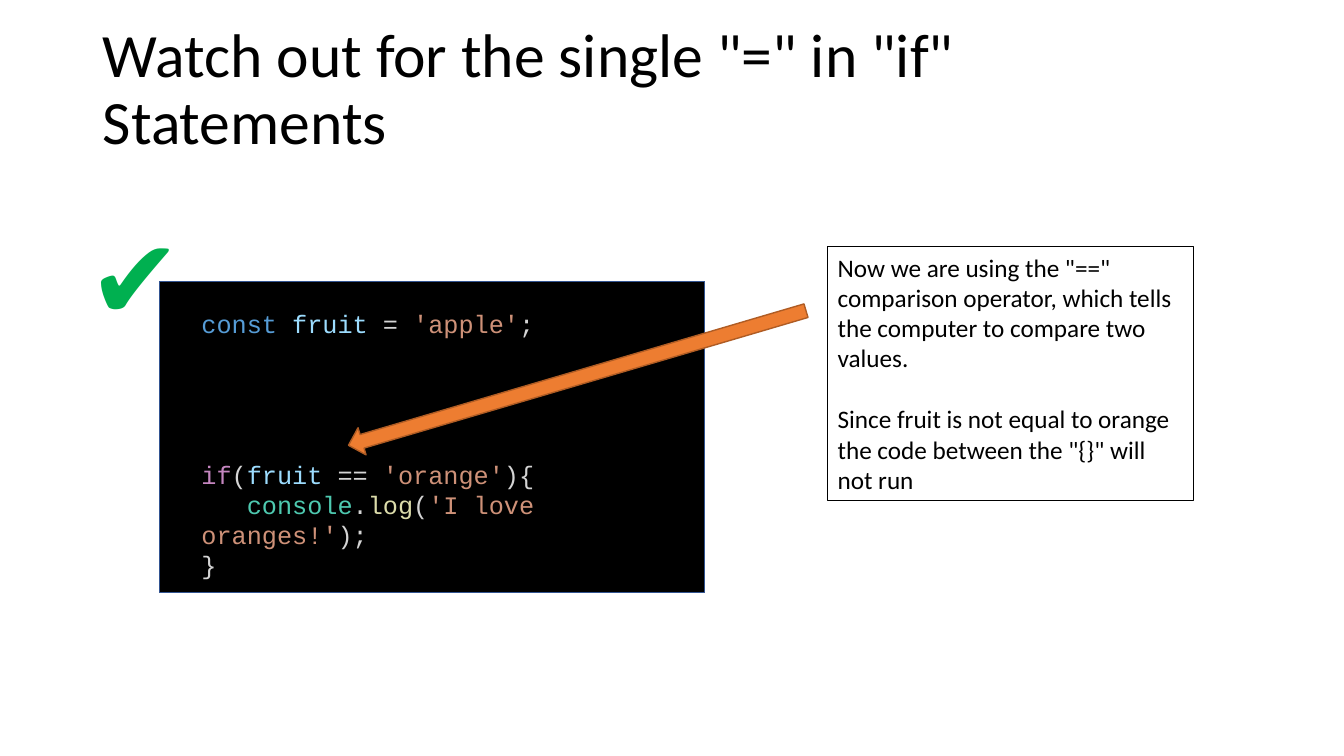
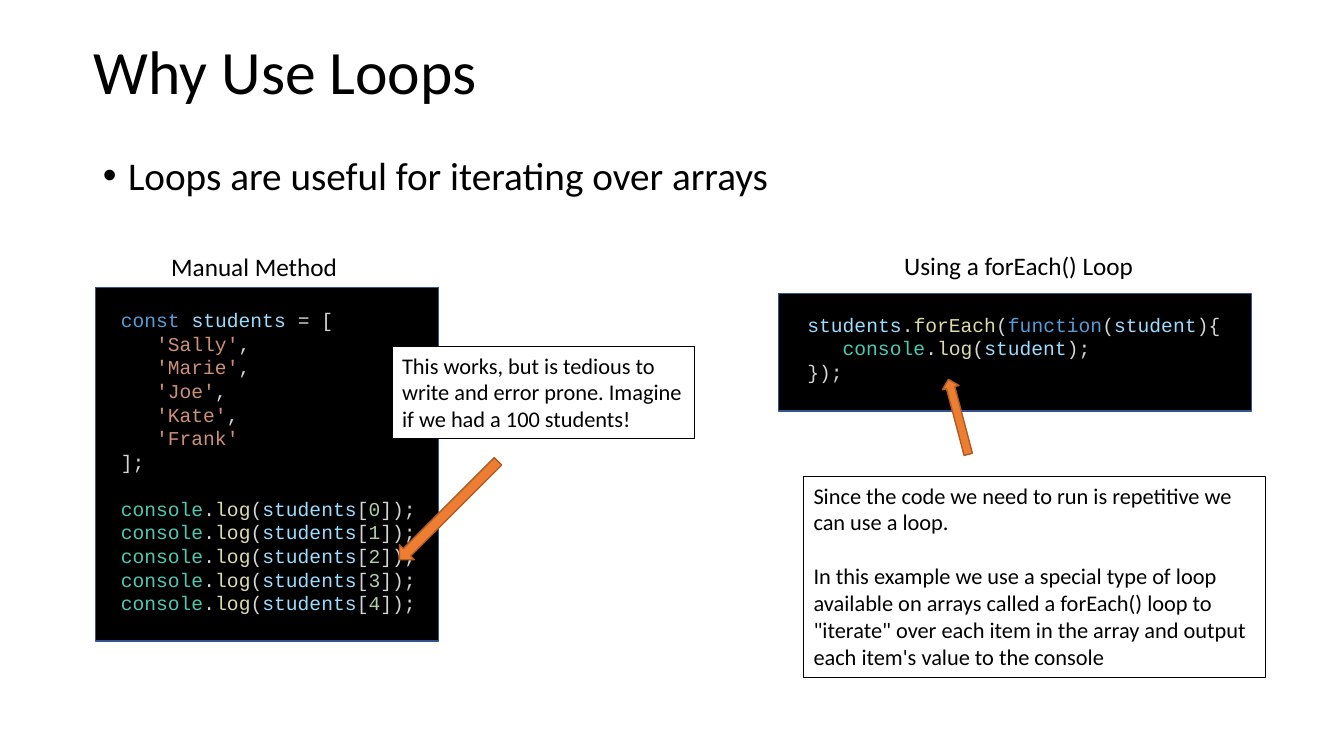
from pptx import Presentation
from pptx.dml.color import RGBColor
from pptx.enum import shapes, text
from pptx.util import Inches, Pt

BLACK = RGBColor(0x00, 0x00, 0x00)
WHITE = RGBColor(0xFF, 0xFF, 0xFF)
GREEN = RGBColor(0x00, 0xB0, 0x50)
NAVY = RGBColor(0x32, 0x54, 0x91)
ORANGE = RGBColor(0xED, 0x7D, 0x31)
RUST = RGBColor(0xAF, 0x5C, 0x24)

# Syntax colours
PLAIN = RGBColor(0xD4, 0xD4, 0xD4)
STRING = RGBColor(0xCE, 0x91, 0x78)
NUMBER = RGBColor(0xB5, 0xCE, 0xA8)
KEYWORD = RGBColor(0x56, 0x9C, 0xD6)
BRANCH = RGBColor(0xC5, 0x86, 0xC0)
NAME = RGBColor(0x9C, 0xDC, 0xFE)
CLASS = RGBColor(0x4E, 0xC9, 0xB0)
CALL = RGBColor(0xDC, 0xDC, 0xAA)
WORDS = {"const": KEYWORD, "function": KEYWORD, "if": BRANCH,
         "fruit": NAME, "students": NAME, "student": NAME,
         "console": CLASS, "log": CALL, "forEach": CALL}

BODY, MONO, SYMBOL = "Calibri", "Courier New", "DejaVu Sans"
LEAD = 1.2   # line height as a share of the text size
CHAR = 0.6   # width of a mono character as a share of the text size


def shade(token):
    """Pick the syntax colour of a code token."""
    word = token.strip()
    if word.startswith("'"):
        return STRING
    return NUMBER if word.isdigit() else WORDS.get(word, PLAIN)


def write(frame, content, size=18, font=BODY, color=BLACK, code=False,
          skip=1, lead=None, before=0):
    """Fill a frame: one paragraph a line, a gap of skip lines between blocks.

    Code tokens are parted by "|"; leading blanks become an indent.
    """
    first = True
    for block in content.split("\n\n"):
        for row, line in enumerate(block.split("\n")):
            para = frame.paragraphs[0] if first else frame.add_paragraph()
            para.alignment = text.PP_ALIGN.LEFT
            para.line_spacing = lead
            gap = row == 0 and not first
            para.space_before = Pt(round(skip * LEAD * size) if gap else before)
            first = False
            bare = line.lstrip()
            depth = len(line) - len(bare)
            if depth:
                props = para._p.get_or_add_pPr()
                props.set("marL", "0")
                props.set("indent", str(Pt(depth * CHAR * size)))
            for token in bare.split("|") if code else [bare]:
                run = para.add_run()
                run.text = token
                run.font.size = Pt(size)
                run.font.name = font
                run.font.color.rgb = shade(token) if code else color


class Deck:
    """Holds the shared style and the current slide."""

    def __init__(self):
        self.prs = Presentation()
        self.prs.slide_width = Inches(13.33)
        self.prs.slide_height = Inches(7.5)
        self.slide = None

    def place(self, shape, box):
        shape.left, shape.top, shape.width, shape.height = map(Inches, box)

    def start(self, title, left, top, bullet=None):
        """Add a slide with its title and, if given, one bullet."""
        layout = self.prs.slide_layouts[1 if bullet else 5]
        self.slide = self.prs.slides.add_slide(layout)
        head = self.slide.shapes.title
        self.place(head, (left, top, 11.5, 1.45))
        head.text_frame.auto_size = text.MSO_AUTO_SIZE.NONE
        head.text_frame.vertical_anchor = text.MSO_ANCHOR.MIDDLE
        write(head.text_frame, title, size=44, lead=0.9)
        if bullet:
            body = self.slide.placeholders[1]
            self.place(body, (0.92, 1.5, 7.31, 0.6))
            body.text_frame.auto_size = text.MSO_AUTO_SIZE.NONE
            write(body.text_frame, bullet, size=28, lead=0.9, before=10)
            props = body.text_frame.paragraphs[0]._p.get_or_add_pPr()
            props.set("marL", str(Inches(0.25)))
            props.set("indent", str(Inches(-0.25)))

    def label(self, content, box, wrap=True, **style):
        """Add a plain text box."""
        shape = self.slide.shapes.add_textbox(*map(Inches, box))
        shape.text_frame.word_wrap = wrap
        shape.text_frame.auto_size = text.MSO_AUTO_SIZE.SHAPE_TO_FIT_TEXT
        write(shape.text_frame, content, **style)
        return shape

    def note(self, content, box, size):
        """Add a white text box with a thin black frame."""
        shape = self.label(content, box, size=size)
        self.paint(shape, WHITE, BLACK, 0.75)

    def paint(self, shape, fill, edge, width=1):
        shape.fill.solid()
        shape.fill.fore_color.rgb = fill
        shape.line.color.rgb = edge
        shape.line.width = Pt(width)

    def form(self, kind, box, fill, edge):
        """Add a preset shape without shadow."""
        shape = self.slide.shapes.add_shape(kind, *map(Inches, box))
        shape.shadow.inherit = False
        self.paint(shape, fill, edge)
        return shape

    def code(self, content, panel, box, size, skip=1):
        """Add a black panel with coloured code on it."""
        self.form(shapes.MSO_SHAPE.RECTANGLE, panel, BLACK, NAVY)
        self.label(content, box, size=size, font=MONO, code=True, skip=skip)

    def arrow(self, box, turn):
        kind = shapes.MSO_SHAPE.RIGHT_ARROW
        self.form(kind, box, ORANGE, RUST).rotation = turn


def compare(deck):
    deck.start('Watch out for the single "=" in "if" Statements', 0.92, 0.18)
    deck.code("const |fruit| = |'apple'|;\n\n"
              "if|(|fruit| == |'orange'|){\n"
              "   console|.|log|(|'I love oranges!'|);\n"
              "}",
              (1.58, 2.79, 5.41, 3.09), (1.9, 3.01, 4.94, 2.52), 18, skip=4)
    deck.note('Now we are using the "==" comparison operator, which tells '
              "the computer to compare two values.\n\n"
              "Since fruit is not equal to orange the code between the "
              '"{}" will not run', (8.21, 2.45, 3.63, 2.52), 18)
    deck.arrow((3.36, 3.61, 4.73, 0.28), 163.6)
    deck.label("✔", (0.78, 2.01, 1.74, 1.45), wrap=False,
               size=80, font=SYMBOL, color=GREEN)


def loops(deck):
    deck.start("Why Use Loops", 0.83, 0.01,
               "Loops are useful for iterating over arrays")

    # Manual method
    names = "|,\n".join(f"   '{name}'" for name in
                        ("Sally", "Marie", "Joe", "Kate", "Frank"))
    logs = "\n".join(f"console|.|log|(|students|[|{i}|]);" for i in range(5))
    deck.code(f"const |students| = [\n{names}\n];\n\n{logs}",
              (0.95, 2.85, 3.4, 3.51), (1.1, 3.01, 3.25, 3.16), 14)
    deck.label("Manual Method", (1.6, 2.44, 2.53, 0.4))
    deck.arrow((3.76, 4.96, 1.38, 0.21), 135)
    deck.note("This works, but is tedious to write and error prone. "
              "Imagine if we had a 100 students!", (3.89, 3.44, 3, 0.91), 16)

    # Loop method
    deck.code("students|.|forEach|(|function|(|student|){\n"
              "   console|.|log|(|student|);\n"
              "});",
              (7.72, 2.91, 4.69, 1.17), (7.91, 3.05, 4.36, 0.81), 14)
    deck.label("Using a forEach() Loop", (8.87, 2.43, 2.53, 0.4))
    deck.arrow((9.12, 4.05, 0.77, 0.17), 255.2)
    deck.note("Since the code we need to run is repetitive we can use a "
              "loop.\n\nIn this example we use a special type of loop "
              "available on arrays called a forEach() loop to \"iterate\" "
              "over each item in the array and output each item's value to "
              "the console", (7.97, 4.73, 4.58, 1.99), 16)


def main():
    deck = Deck()
    compare(deck)
    loops(deck)
    deck.prs.save("out.pptx")


if __name__ == "__main__":
    main()
